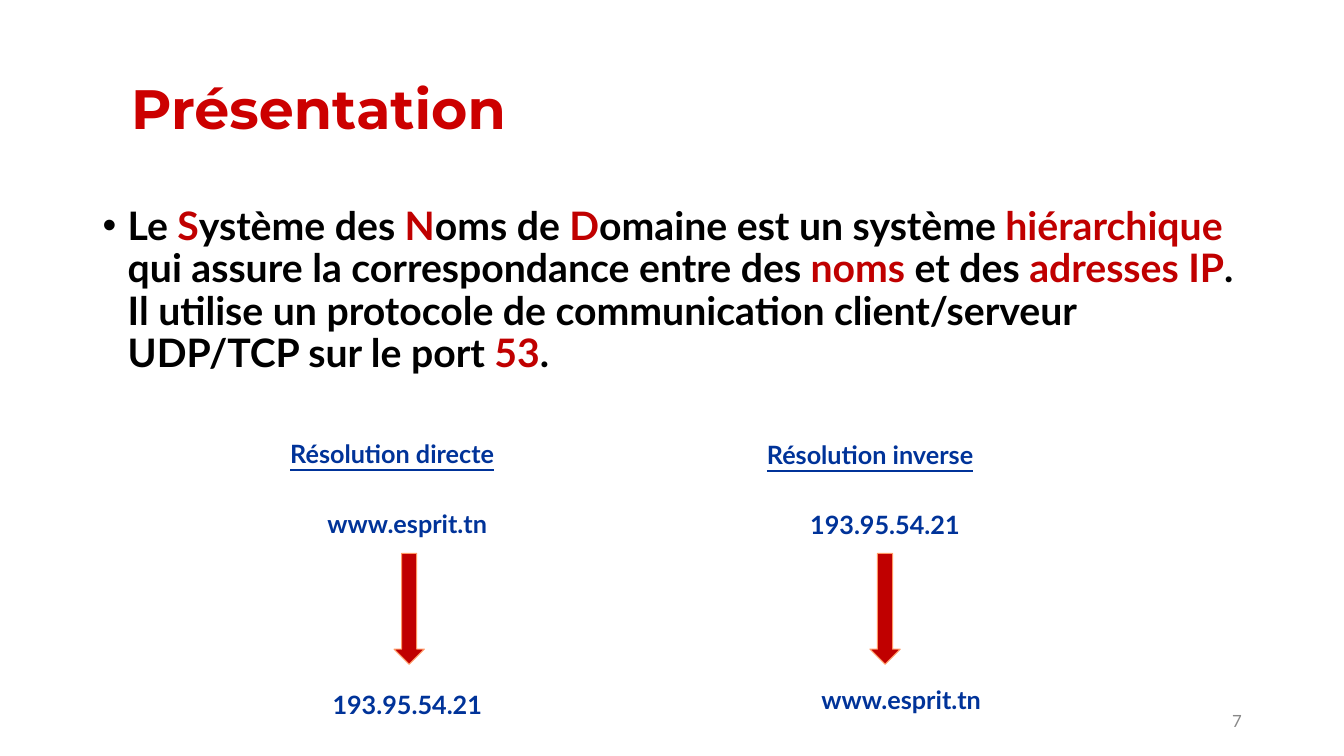
from lxml.etree import SubElement
from pptx import Presentation
from pptx.dml.color import RGBColor
from pptx.enum.shapes import MSO_SHAPE
from pptx.enum.text import MSO_ANCHOR, MSO_AUTO_SIZE, PP_ALIGN
from pptx.oxml.ns import qn
from pptx.util import Pt

RED = RGBColor(0xC0, 0x00, 0x00)
TITLE = RGBColor(0xCC, 0x00, 0x00)
BLUE = RGBColor(0x00, 0x33, 0x99)
BLACK = RGBColor(0x00, 0x00, 0x00)
GREY = RGBColor(0x88, 0x88, 0x88)
EDGE = RGBColor(0xFF, 0x99, 0x66)

HEAD = dict(name="Montserrat", size=Pt(39.6), bold=True)
BODY = dict(name="Lato", size=Pt(28), bold=True)
LABEL = dict(name="Lato", size=Pt(18), bold=True)
SMALL = dict(name="Lato", size=Pt(12), bold=False)

INTRO = [
    ("Le ", BLACK), ("S", RED), ("ystème des ", BLACK), ("N", RED),
    ("oms de ", BLACK), ("D", RED), ("omaine est un système ", BLACK),
    ("hiérarchique", RED), (" qui assure la correspondance entre des ", BLACK),
    ("noms", RED), (" et des ", BLACK), ("adresses IP", RED),
    (". Il utilise un protocole de communication client/serveur "
     "UDP/TCP sur le port ", BLACK), ("53", RED), (".", BLACK),
]
HOST, ADDRESS = "www.esprit.tn", "193.95.54.21"
# heading, its left and top, then text, left and top of source and result
FLOWS = [
    ("Résolution directe", 200.2, 309.6,
     (HOST, 200.2, 359.3), (ADDRESS, 200.2, 488.9), 281.5),
    ("Résolution inverse", 540.7, 310.3,
     (ADDRESS, 541.4, 360), (HOST, 553, 485.3), 621.4),
]


class Page:
    def __init__(self, deck):
        self.slide = deck.slides.add_slide(deck.slide_layouts[5])
        self.shapes = self.slide.shapes

    def fill(self, frame, runs, style, align, anchor):
        frame.word_wrap = True
        frame.auto_size = MSO_AUTO_SIZE.NONE
        frame.vertical_anchor = anchor
        para = frame.paragraphs[0]
        para.alignment = align
        for text, color in runs:
            run = para.add_run()
            run.text = text
            for key, value in style.items():
                setattr(run.font, key, value)
            run.font.color.rgb = color
        return para

    def title(self, text, left, top, width, height):
        shape = self.shapes.title
        place = dict(left=left, top=top, width=width, height=height)
        for key, value in place.items():
            setattr(shape, key, Pt(value))
        para = self.fill(shape.text_frame, [(text, TITLE)], HEAD,
                         PP_ALIGN.LEFT, MSO_ANCHOR.MIDDLE)
        para.line_spacing = 0.9

    def text(self, runs, left, top, width, height, style,
             align=PP_ALIGN.LEFT, anchor=MSO_ANCHOR.TOP):
        box = self.shapes.add_textbox(Pt(left), Pt(top), Pt(width), Pt(height))
        return self.fill(box.text_frame, runs, style, align, anchor)

    def bullet(self, runs, *place):
        para = self.text(runs, *place, BODY)
        props = para._p.get_or_add_pPr()
        props.set("marL", str(Pt(18)))
        props.set("indent", str(-Pt(18)))
        color = SubElement(props, qn("a:buClr"))
        SubElement(color, qn("a:srgbClr"), val=str(BLACK))
        SubElement(props, qn("a:buFont"), typeface="Arial")
        SubElement(props, qn("a:buChar"), char="•")
        para.line_spacing = 0.9

    def label(self, text, left, top, align=PP_ALIGN.CENTER, **extra):
        self.text([(text, BLUE)], left, top, 181.4, 29, {**LABEL, **extra}, align)

    def arrow(self, left, top):
        shape = self.shapes.add_shape(MSO_SHAPE.DOWN_ARROW, Pt(left), Pt(top),
                                      Pt(21.6), Pt(79.2))
        shape.shadow.inherit = False
        shape.fill.solid()
        shape.fill.fore_color.rgb = RED
        shape.line.color.rgb = EDGE
        shape.line.width = Pt(0.75)


def main():
    deck = Presentation()
    deck.slide_width, deck.slide_height = Pt(960), Pt(540)
    page = Page(deck)
    page.title("Présentation", 86.4, 27.6, 828, 104.4)
    page.bullet(INTRO, 66.2, 144, 828, 342.7)
    page.text([("7", GREY)], 678.2, 500.4, 216, 28.8, SMALL,
              PP_ALIGN.RIGHT, MSO_ANCHOR.MIDDLE)
    for head, left, top, start, end, arrow in FLOWS:
        page.label(head, left, top, PP_ALIGN.LEFT, underline=True)
        page.label(*start)
        page.label(*end)
        page.arrow(arrow, 395.3)
    deck.save("out.pptx")


if __name__ == "__main__":
    main()
